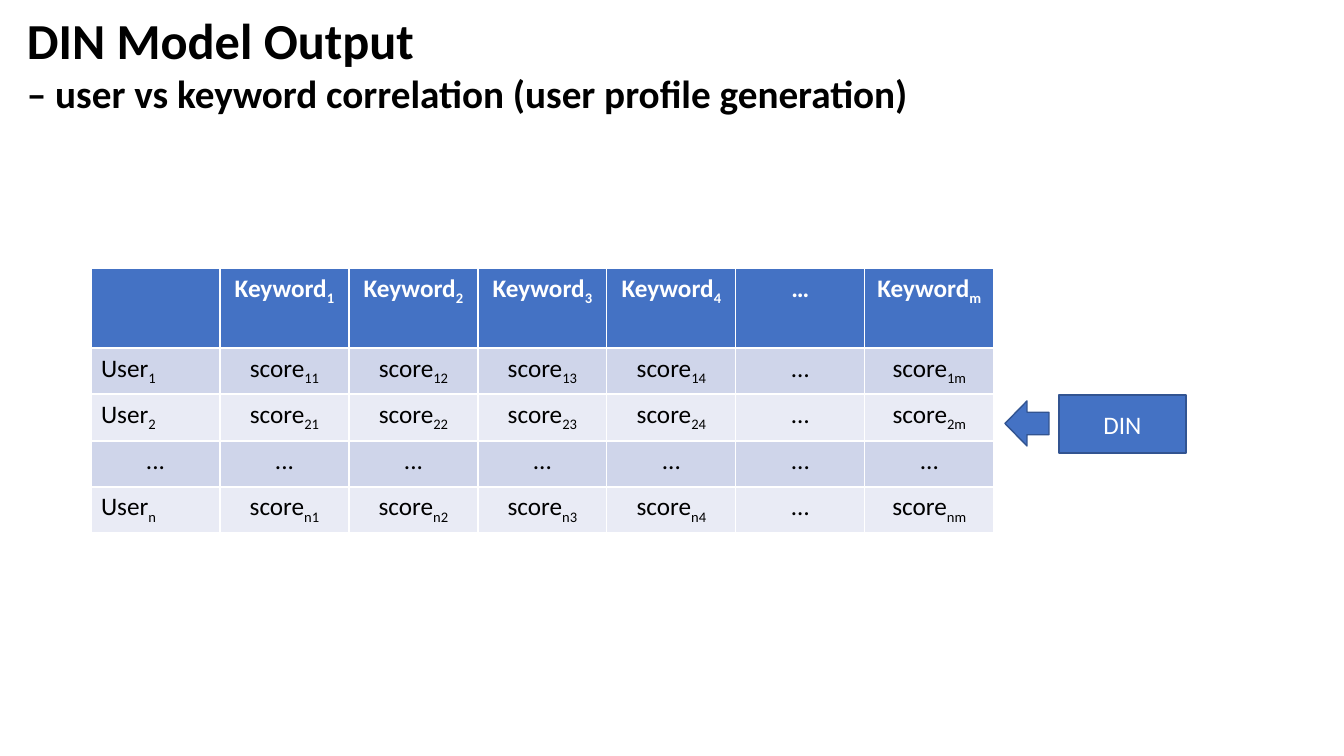
"""Build the slide on the DIN model output, with its score table."""
import itertools
import typing

import pptx
import pptx.dml.color
import pptx.enum.shapes
import pptx.enum.text
import pptx.util

SCALE = 914400 / 100.8
FONT = "Calibri"
HUES = {"blue": "4472C4", "edge": "325491", "dark": "CFD5EA",
        "light": "E9EBF5", "white": "FFFFFF", "black": "000000"}
SHAPES = pptx.enum.shapes.MSO_SHAPE
ALIGN = pptx.enum.text.PP_ALIGN


class Box(typing.NamedTuple):
    left: int
    top: int
    width: int
    height: int


class Node(typing.NamedTuple):
    kind: SHAPES
    box: Box
    label: str


class Entry(typing.NamedTuple):
    word: str
    index: str = ""
    align: ALIGN = ALIGN.CENTER


TITLE = Box(17, 4, 1168, 119)
LINES = (("DIN Model Output ", 36),
         ("– user vs keyword correlation (user profile generation)", 28))
LEFT, COLUMN = 91, 129
EDGES = (268, 348, 394, 441, 487, 533)
USERS = ("1", "2", "...", "n")
KEYWORDS = ("1", "2", "3", "4", "…", "m")
NODES = (Node(SHAPES.RECTANGLE, Box(1059, 395, 127, 58), "DIN"),
         Node(SHAPES.LEFT_ARROW, Box(1005, 401, 44, 45), ""))


def px(length: int) -> int:
    """Turn pixels into EMU."""
    return round(length * SCALE)


def place(box: Box) -> list[int]:
    """Turn a whole box into EMU."""
    return [px(side) for side in box]


def hue(name: str) -> pptx.dml.color.RGBColor:
    """Look up a colour."""
    return pptx.dml.color.RGBColor.from_string(HUES[name])


def paint(target, name: str) -> None:
    """Fill a shape or cell."""
    target.fill.solid()
    target.fill.fore_color.rgb = hue(name)


def style(run, size: int, name: str, bold: bool = False) -> None:
    """Format one run."""
    run.font.name = FONT
    run.font.size = pptx.util.Pt(size)
    run.font.bold = bold
    run.font.color.rgb = hue(name)


def draw_title(slide) -> None:
    """Draw the heading and the line below it."""
    frame = slide.shapes.add_textbox(*place(TITLE)).text_frame
    frame.word_wrap = True
    frame.text = "\n".join(text for text, size in LINES)
    for part, (text, size) in zip(frame.paragraphs, LINES):
        style(part.runs[0], size, "black", True)


def make_rows() -> list[list[Entry]]:
    """Work out the entries of the table."""
    rows = [[Entry("")] + [Entry(key) if key == "…" else Entry("Keyword", key)
                           for key in KEYWORDS]]
    for user in USERS:
        if user == "...":
            rows.append([Entry(user)] * (len(KEYWORDS) + 1))
            continue
        scores = [Entry(key) if key == "…" else Entry("score", user + key)
                  for key in KEYWORDS]
        rows.append([Entry("User", user, ALIGN.LEFT)] + scores)
    return rows


def fill_cell(cell, entry: Entry, row: int) -> None:
    """Write and colour one cell."""
    head = row == 0
    paint(cell, "blue" if head else "dark" if row % 2 else "light")
    part = cell.text_frame.paragraphs[0]
    part.text = entry.word
    part.alignment = entry.align
    if entry.index:
        sub = part.add_run()
        sub.text = entry.index
        sub.font._element.set("baseline", "-25000")
    for run in part.runs:
        style(run, 18, "white" if head else "black", head)


def draw_table(slide) -> None:
    """Draw the scores of users by keyword."""
    rows = make_rows()
    count = len(rows[0])
    box = Box(LEFT, EDGES[0], COLUMN * count, EDGES[-1] - EDGES[0])
    table = slide.shapes.add_table(len(rows), count, *place(box)).table
    for column in table.columns:
        column.width = px(COLUMN)
    for line, (top, end) in zip(table.rows, itertools.pairwise(EDGES)):
        line.height = px(end - top)
    for row, items in enumerate(rows):
        for column, entry in enumerate(items):
            fill_cell(table.cell(row, column), entry, row)


def draw_node(slide, node: Node) -> None:
    """Draw a block or arrow with its label."""
    shape = slide.shapes.add_shape(node.kind, *place(node.box))
    shape.shadow.inherit = False
    paint(shape, "blue")
    shape.line.color.rgb = hue("edge")
    shape.line.width = pptx.util.Pt(1)
    if node.label:
        frame = shape.text_frame
        frame.text = node.label
        frame.vertical_anchor = pptx.enum.text.MSO_ANCHOR.MIDDLE
        frame.paragraphs[0].alignment = ALIGN.CENTER
        style(frame.paragraphs[0].runs[0], 18, "white")


def main() -> None:
    """Build and save the deck."""
    deck = pptx.Presentation()
    deck.slide_width, deck.slide_height = px(1344), px(756)
    slide = deck.slides.add_slide(deck.slide_layouts[6])
    draw_title(slide)
    draw_table(slide)
    for node in NODES:
        draw_node(slide, node)
    deck.save("out.pptx")


main()
